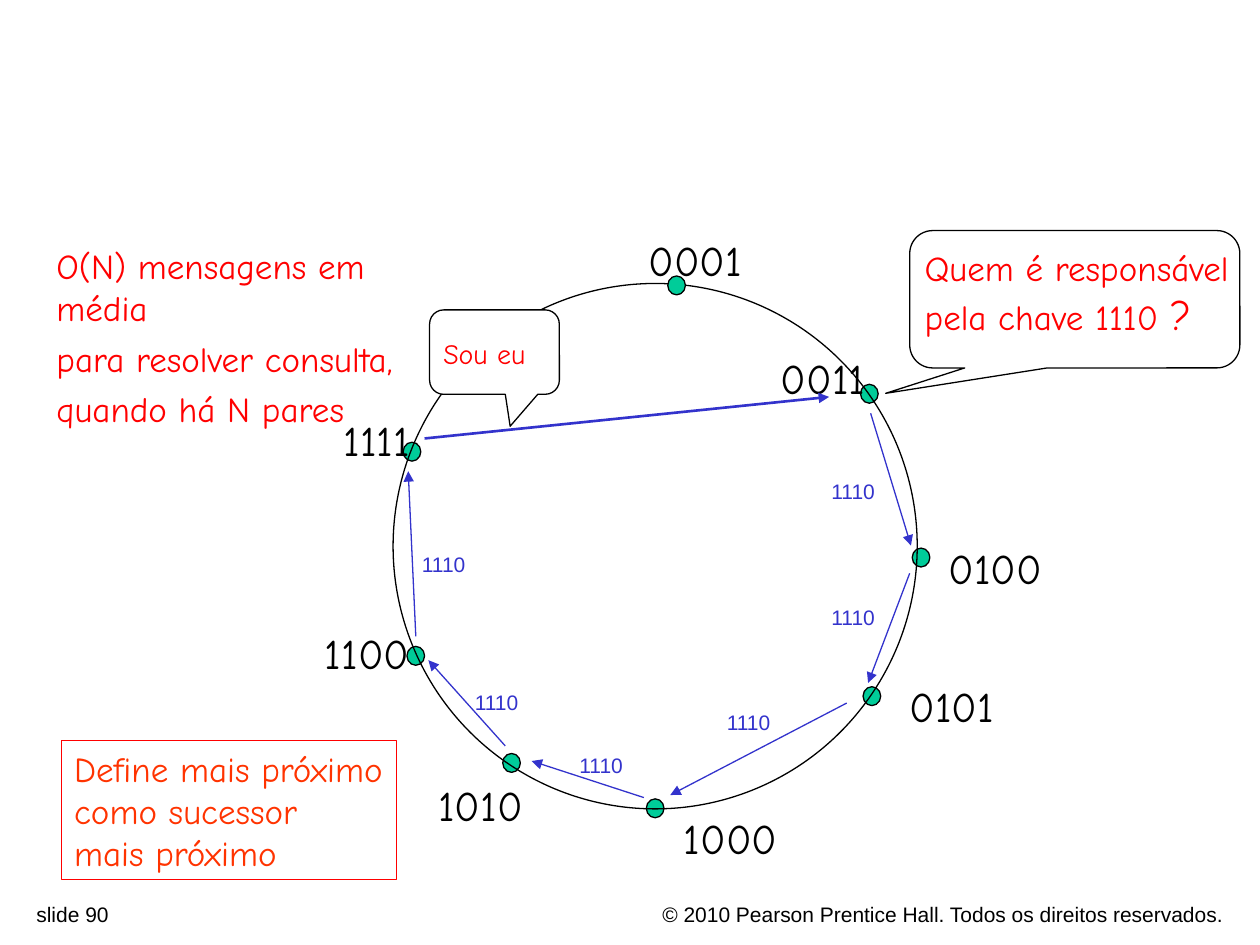
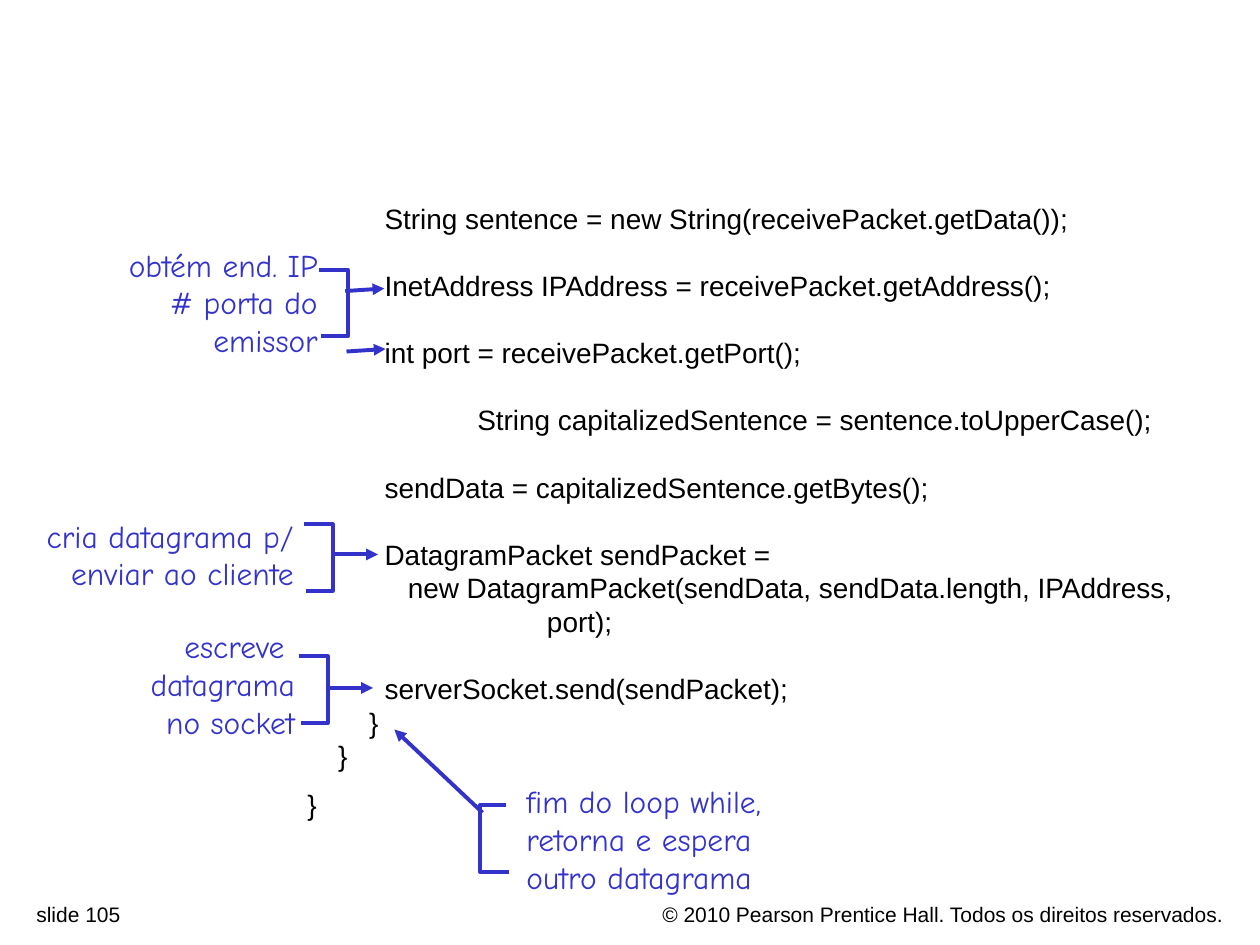
from dataclasses import dataclass

import pptx
import pptx.dml.color
import pptx.enum.shapes
import pptx.enum.text
import pptx.oxml.ns
import pptx.util
from lxml import etree
from pptx.util import Inches

SHAPE = pptx.enum.shapes.MSO_SHAPE
ALIGN = pptx.enum.text.PP_ALIGN
ANCHOR = pptx.enum.text.MSO_ANCHOR


@dataclass(frozen=True)
class Theme:
    hand: str = "Comic Neue"
    plain: str = "Arial"
    ink: str = "000000"
    paper: str = "FFFFFF"
    blue: str = "3333CC"
    red: str = "FF0000"
    orange: str = "FF3300"
    green: str = "00CC99"
    small: int = 12
    code: int = 16
    note: int = 18
    statement: int = 20
    node: int = 24
    thin: float = 0.75
    medium: float = 1.5
    thick: float = 2.25


@dataclass(frozen=True)
class Box:
    left: float
    top: float
    width: float
    height: float

    def inner(self, dx, dy, width, height):
        return Box(self.left + dx, self.top + dy, width, height)

    def point(self, offset):
        return self.left + offset[0], self.top + offset[1]

    def lengths(self):
        return [Inches(n) for n in (self.left, self.top, self.width, self.height)]


THEME = Theme()


# Shared drawing helpers

def rgb(colour):
    return pptx.dml.color.RGBColor.from_string(colour)


def style_span(span, size, font, colour):
    span.font.size = pptx.util.Pt(size)
    span.font.name = font
    span.font.color.rgb = rgb(colour)


def write(shape, lines, size, font, colour, align=ALIGN.LEFT,
          anchor=ANCHOR.TOP, gap=0, wrap=False):
    frame = shape.text_frame
    frame.word_wrap = wrap
    frame.vertical_anchor = anchor
    frame.text = "\n".join(lines)
    for index, para in enumerate(frame.paragraphs):
        para.alignment = align
        if index and gap:
            para.space_before = pptx.util.Pt(gap)
        for span in para.runs:
            style_span(span, size, font, colour)
    return frame


def add_text(page, box, lines, *style, **layout):
    return write(page.shapes.add_textbox(*box.lengths()), lines, *style, **layout)


def set_outline(shape, colour, width):
    shape.line.color.rgb = rgb(colour)
    shape.line.width = pptx.util.Pt(width)


def add_outlined(page, kind, box, colour=THEME.ink, fill=None):
    shape = page.shapes.add_shape(kind, *box.lengths())
    shape.shadow.inherit = False
    if fill:
        shape.fill.solid()
        shape.fill.fore_color.rgb = rgb(fill)
    else:
        shape.fill.background()
    set_outline(shape, colour, THEME.thin)
    return shape


def add_callout(page, box, adjustments, fill=None):
    callout = add_outlined(page, SHAPE.ROUNDED_RECTANGULAR_CALLOUT, box, fill=fill)
    for index, value in enumerate(adjustments):
        callout.adjustments[index] = value


def add_arrow(page, start, end, width):
    ends = [Inches(n) for n in (*start, *end)]
    arrow = page.shapes.add_connector(
        pptx.enum.shapes.MSO_CONNECTOR.STRAIGHT, *ends)
    set_outline(arrow, THEME.blue, width)
    qn = pptx.oxml.ns.qn
    etree.SubElement(arrow.line._get_or_add_ln(), qn("a:tailEnd"), type="triangle")
    etree.SubElement(arrow._element.spPr, qn("a:effectLst"))


def add_footer(page, number):
    style = (THEME.small, THEME.plain, THEME.ink)
    add_text(page, Box(4.7, 7.11, 5.11, 0.24),
             ["© 2010 Pearson Prentice Hall. Todos os direitos reservados."],
             *style, align=ALIGN.RIGHT, wrap=True)
    add_text(page, Box(0.19, 7.11, 3.52, 0.23), [f"slide {number}"],
             *style, wrap=True)


def new_page(deck, number):
    page = deck.slides.add_slide(deck.slide_layouts[6])
    add_footer(page, number)
    return page


# Ring of peers: offsets are measured from the ring's top left corner

PEERS = [  # key, node offset, label offset, label width
    ("0001", (2.18, -0.06), (1.93, -0.44), 0.94),
    ("0011", (3.71, 0.80), (2.98, 0.50), 0.87),
    ("0100", (4.12, 2.10), (4.31, 2.01), 0.94),
    ("0101", (3.73, 3.20), (4.00, 3.10), 0.87),
    ("1000", (2.01, 4.09), (2.21, 4.15), 0.94),
    ("1010", (0.87, 3.73), (0.26, 3.89), 0.87),
    ("1100", (0.11, 2.88), (-0.64, 2.68), 0.87),
    ("1111", (0.08, 1.26), (-0.49, 0.99), 0.73),
]
HOPS = [  # start, end, label offset
    ((3.79, 1.03), (4.11, 2.08), (3.38, 1.50)),
    ((4.10, 2.30), (3.77, 3.17), (3.38, 2.50)),
    ((3.60, 3.33), (2.20, 4.06), (2.55, 3.33)),
    ((1.99, 4.08), (1.10, 3.79), (1.38, 3.67)),
    ((0.89, 3.67), (0.28, 2.99), (0.55, 3.17)),
    ((0.18, 2.80), (0.12, 1.49), (0.13, 2.08)),
]
ANSWER = ((0.25, 1.23), (3.46, 0.90))


def draw_ring(page, box):
    def add_node(offset):
        add_outlined(page, SHAPE.OVAL, box.inner(*offset, 0.14, 0.15),
                     fill=THEME.green)

    # The top node lies over the ring, the others under it
    for _, node, _, _ in PEERS[1:]:
        add_node(node)
    add_outlined(page, SHAPE.OVAL, box)
    add_node(PEERS[0][1])
    for key, _, label, width in PEERS:
        add_text(page, box.inner(*label, width, 0.5), [key],
                 THEME.node, THEME.hand, THEME.ink)
    for start, end, label in HOPS:
        add_arrow(page, box.point(start), box.point(end), THEME.thin)
        add_text(page, box.inner(*label, 0.57, 0.3), ["1110"],
                 THEME.small, THEME.plain, THEME.blue)
    add_arrow(page, *map(box.point, ANSWER), THEME.medium)


def draw_question(page, box):
    add_callout(page, box, (-0.573, 0.685, 0.167))
    frame = add_text(page, box.inner(0.02, 0.08, 2.62, 0.84),
                     ["Quem é responsável", "pela chave 1110 "],
                     THEME.statement, THEME.hand, THEME.red)
    mark = frame.paragraphs[-1].add_run()
    mark.text = "?"
    style_span(mark, THEME.node, THEME.hand, THEME.red)


def draw_reply(page, box):
    add_callout(page, box, (0.121, 0.878, 0.167), THEME.paper)
    add_text(page, box.inner(0.01, 0.16, 1.42, 0.37), ["Sou eu"],
             THEME.code, THEME.hand, THEME.red, wrap=True)


def build_ring_page(deck):
    page = new_page(deck, 90)
    draw_ring(page, Box(3.12, 2.25, 4.16, 4.17))
    draw_question(page, Box(7.22, 1.83, 2.62, 1.09))
    draw_reply(page, Box(3.41, 2.46, 1.03, 0.67))
    add_text(page, Box(0.35, 1.89, 3.46, 1.24),
             ["O(N) mensagens em média", "para resolver consulta,",
              "quando há N pares"],
             THEME.statement, THEME.hand, THEME.red, gap=5)
    definition = add_outlined(page, SHAPE.RECTANGLE, Box(0.49, 5.88, 2.66, 1.1),
                              THEME.red)
    write(definition, ["Define mais próximo", "como sucessor", "mais próximo"],
          THEME.statement, THEME.hand, THEME.orange)


# Annotated code

CODE_PITCH = 19.2
CODE = [  # space before in lines, code
    (0, "          String sentence = new String(receivePacket.getData());"),
    (1, "          InetAddress IPAddress = receivePacket.getAddress();"),
    (1, "          int port = receivePacket.getPort();"),
    (1, "                      String capitalizedSentence = sentence.toUpperCase();"),
    (1, "          sendData = capitalizedSentence.getBytes();"),
    (1, "          DatagramPacket sendPacket ="),
    (0, "             new DatagramPacket(sendData, sendData.length, IPAddress,"),
    (0, "                               port);"),
    (1, "          serverSocket.send(sendPacket);"),
    (0, "        }"),
    (0, "    }"),
    (0.45, "}"),
]
NOTES = [  # label box, lines, bracket corner, arrows from that corner
    (Box(0.33, 1.9, 2.29, 1), ["obtém end. IP", "# porta do", "emissor"],
     (2.53, 2.14), [((0.21, 0.17), (0.52, 0.15)), ((0.22, 0.65), (0.53, 0.63))]),
    (Box(0.26, 4.05, 2.17, 0.7), ["cria datagrama p/", "enviar ao cliente"],
     (2.41, 4.16), [((0.23, 0.24), (0.59, 0.24))]),
    (Box(1.08, 4.93, 1.36, 1), ["escreve ", "datagrama", "no socket"],
     (2.37, 5.21), [((0.23, 0.25), (0.59, 0.25))]),
    (Box(4.08, 6.16, 2.06, 1),
     ["fim do loop while,", "retorna e espera", "outro datagrama"],
     (3.81, 6.39), [((0.02, 0.06), (-0.68, -0.6))]),
]


def draw_code(page, box):
    frame = add_text(page, box, [line for _, line in CODE],
                     THEME.code, THEME.plain, THEME.ink)
    for para, (gap, _) in zip(frame.paragraphs, CODE):
        para.line_spacing = pptx.util.Pt(CODE_PITCH)
        if gap:
            para.space_before = pptx.util.Pt(gap * CODE_PITCH)


def draw_bracket(page, box, opens_right):
    offsets = [(0, 0), (box.width, 0), (box.width, box.height), (0.02, box.height)]
    if opens_right:
        offsets = [(box.width - dx, box.height - dy) for dx, dy in offsets]
    corners = [tuple(Inches(n) for n in box.point(offset)) for offset in offsets]
    builder = page.shapes.build_freeform(*corners[0])
    builder.add_line_segments(corners[1:], close=False)
    bracket = builder.convert_to_shape()
    bracket.shadow.inherit = False
    bracket.fill.background()
    set_outline(bracket, THEME.blue, THEME.thick)


def draw_note(page, label, lines, corner, arrows):
    bracket = Box(*corner, 0.23, 0.53)
    opens_right = label.left > bracket.left
    add_text(page, label, lines, THEME.note, THEME.hand, THEME.blue,
             align=ALIGN.LEFT if opens_right else ALIGN.RIGHT,
             anchor=ANCHOR.MIDDLE)
    draw_bracket(page, bracket, opens_right)
    for start, end in arrows:
        add_arrow(page, bracket.point(start), bracket.point(end), THEME.thick)


def build_code_page(deck):
    page = new_page(deck, 105)
    draw_code(page, Box(2.34, 1.55, 7.15, 5.03))
    for note in NOTES:
        draw_note(page, *note)


def main():
    deck = pptx.Presentation()
    deck.slide_width, deck.slide_height = Inches(10), Inches(7.5)
    build_ring_page(deck)
    build_code_page(deck)
    deck.save("out.pptx")


if __name__ == "__main__":
    main()
